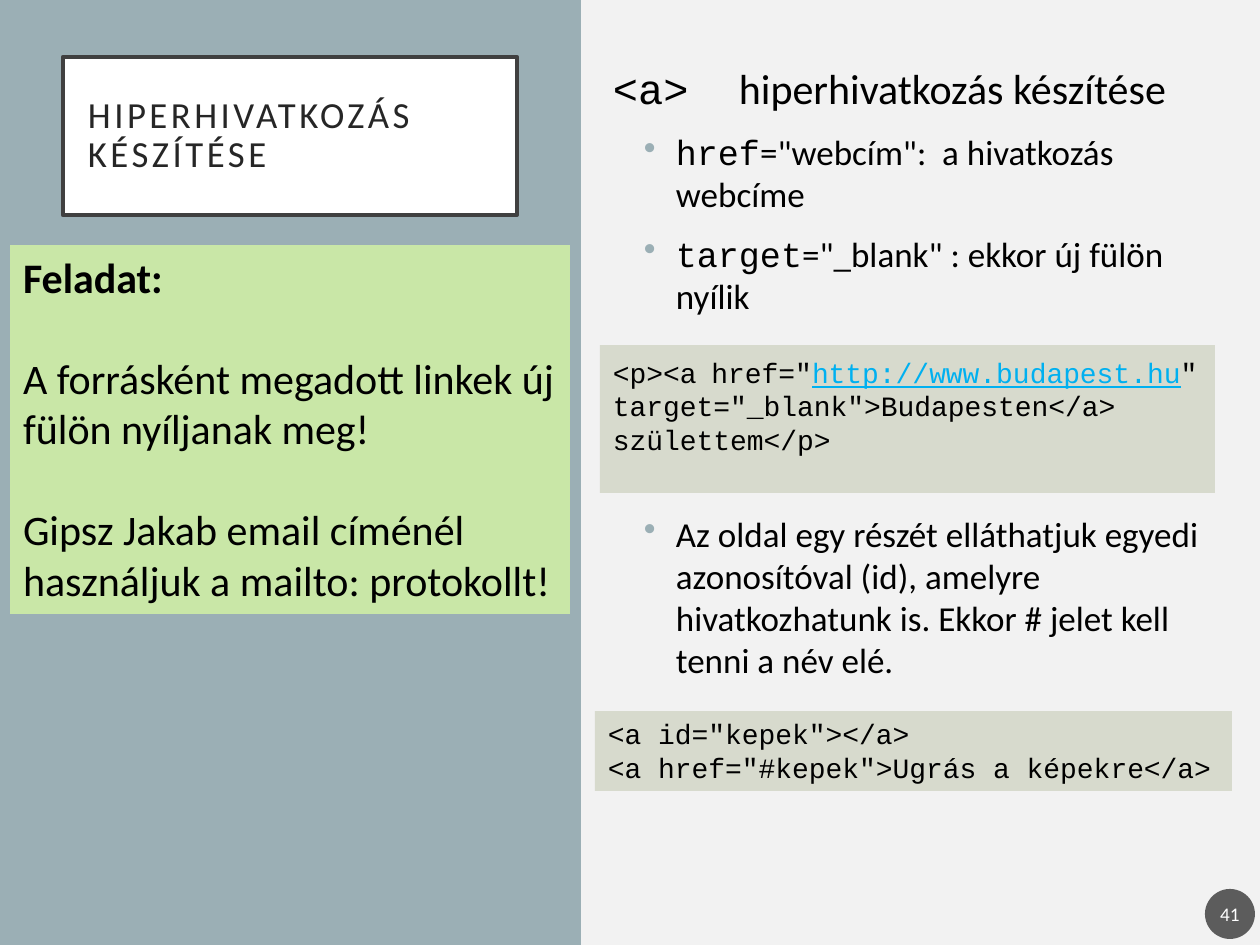
import pptx
import pptx.dml.color
import pptx.enum.shapes
import pptx.enum.text
import pptx.oxml
import pptx.oxml.ns
import pptx.util

RGB = pptx.dml.color.RGBColor
SHAPE = pptx.enum.shapes.MSO_SHAPE
ANCHOR = pptx.enum.text.MSO_ANCHOR
ALIGN = pptx.enum.text.PP_ALIGN
Pt = pptx.util.Pt

PAGE = RGB(0xF2, 0xF2, 0xF2)
PANEL = RGB(0x9B, 0xAF, 0xB5)
WHITE = RGB(0xFF, 0xFF, 0xFF)
BLACK = RGB(0, 0, 0)
FRAME = RGB(0x40, 0x40, 0x40)
TITLE = RGB(0x26, 0x26, 0x26)
CODE_FILL = RGB(0xD7, 0xDA, 0xCD)
TASK_FILL = RGB(0xC9, 0xE7, 0xA7)
LINK = RGB(0x00, 0xB0, 0xF0)
BADGE = RGB(0x1D, 0x1D, 0x1D)

SANS = "Calibri"
MONO = "Courier New"
EMU_PER_PX = 914400 / 126


def px(n):
    return pptx.util.Emu(round(n * EMU_PER_PX))


def add_xml(parent, tag, **attrs):
    child = pptx.oxml.ns.qn(tag)
    el = parent.makeelement(child, attrs)
    parent.append(el)
    return el


def add_box(s, box, fill, kind=SHAPE.RECTANGLE, anchor=ANCHOR.TOP, insets=(13, 6)):
    """Add a borderless filled shape; insets are horizontal and vertical."""
    sp = s.shapes.add_shape(kind, *map(px, box))
    sp.shadow.inherit = False
    sp.fill.solid()
    sp.fill.fore_color.rgb = fill
    sp.line.fill.background()
    set_frame(sp.text_frame, anchor, insets)
    return sp


def set_frame(tf, anchor, insets):
    tf.word_wrap = True
    tf.vertical_anchor = anchor
    tf.margin_left = tf.margin_right = px(insets[0])
    tf.margin_top = tf.margin_bottom = px(insets[1])


def add_paragraph(tf, runs, size, font=SANS, color=BLACK, before=0):
    """Fill the empty first paragraph or append one, and return it."""
    p = tf.paragraphs[0]
    if p.runs:
        p = tf.add_paragraph()
    p.alignment = ALIGN.LEFT
    p.space_before = Pt(before)
    p.font.size = Pt(size)
    p.font.name = font
    p.font.color.rgb = color
    for text, changes in runs:
        r = p.add_run()
        r.text = text
        r.font.size = Pt(changes.get("size", size))
        r.font.name = changes.get("font", font)
        r.font.color.rgb = changes.get("color", color)
        if changes.get("underline"):
            r.font.underline = True
        if changes.get("bold"):
            r.font.bold = True
    return p


def add_bullet(tf, runs, before=10):
    p = add_paragraph(tf, runs, 20, before=before)
    pPr = p._p.get_or_add_pPr()
    pPr.set("marL", str(px(63)))
    pPr.set("indent", str(px(-32)))
    bullet_color = pptx.oxml.parse_xml(
        '<a:buClr xmlns:a="http://schemas.openxmlformats.org/drawingml/2006/main">'
        f'<a:srgbClr val="{PANEL}"/></a:buClr>')
    bullet = pPr.makeelement(pptx.oxml.ns.qn("a:buChar"), {"char": "•"})
    default_font = pPr.find(pptx.oxml.ns.qn("a:defRPr"))
    default_font.addprevious(bullet_color)
    default_font.addprevious(bullet)


def add_title(s):
    sp = add_box(s, (63, 57, 454, 158), WHITE, anchor=ANCHOR.MIDDLE, insets=(25, 25))
    sp.line.color.rgb = FRAME
    sp.line.width = Pt(2.5)
    p = add_paragraph(sp.text_frame, [("HIPERHIVATKOZÁS KÉSZÍTÉSE", {})], 21, color=TITLE)
    p.line_spacing = 0.9
    p.runs[0].font._element.set("spc", "200")


def add_body(s):
    tf = s.shapes.add_textbox(*map(px, (600, 57, 627, 872))).text_frame
    set_frame(tf, ANCHOR.TOP, (13, 6))
    mono = {"font": MONO}
    add_paragraph(tf, [("<a>\t", mono), ("hiperhivatkozás készítése", {})], 24, before=10)
    add_bullet(tf, [("href", mono), ('="webcím":  a hivatkozás webcíme', {})])
    add_bullet(tf, [("target", mono), ('="_blank" : ekkor új fülön nyílik', {})])
    # The wide gap leaves room for the first code box.
    add_bullet(tf, [("Az oldal egy részét elláthatjuk egyedi azonosítóval (id), amelyre "
                     "hivatkozhatunk is. Ekkor # jelet kell tenni a név elé.", {})], before=112)


def add_code(s, box, lines, inset_top):
    tf = add_box(s, box, CODE_FILL, insets=(13, inset_top)).text_frame
    for runs in lines:
        add_paragraph(tf, runs, 16, MONO)


def add_task(s):
    tf = add_box(s, (10, 245, 560, 369), TASK_FILL).text_frame
    add_paragraph(tf, [("Feladat:", {"bold": True})], 24)
    for text in ("A forrásként megadott linkek új fülön nyíljanak meg!",
                 "Gipsz Jakab email címénél használjuk a mailto: protokollt!"):
        add_paragraph(tf, [(text, {})], 24, before=29)


def add_page_number(s):
    sp = add_box(s, (1205, 889, 50, 50), BADGE, SHAPE.OVAL, ANCHOR.MIDDLE, (2, 6))
    color = sp.fill._xPr.find(".//" + pptx.oxml.ns.qn("a:srgbClr"))
    add_xml(color, "a:alpha", val="70000")
    p = add_paragraph(sp.text_frame, [("41", {})], 11, color=WHITE)
    p.alignment = ALIGN.CENTER


def main():
    prs = pptx.Presentation()
    prs.slide_width, prs.slide_height = px(1260), px(945)
    s = prs.slides.add_slide(prs.slide_layouts[6])
    s.background.fill.solid()
    s.background.fill.fore_color.rgb = PAGE

    add_box(s, (0, 0, 581, 945), PANEL)
    add_title(s)
    add_body(s)
    add_page_number(s)
    add_code(s, (600, 345, 615, 148), [[
        ("<p><a", {}), (" ", {"size": 14}), ('href="', {}),
        ("http://www.budapest.hu", {"color": LINK, "underline": True}),
        ('"', {}), (" ", {"size": 14}),
        ('target="_blank">Budapesten</a> születtem</p>', {}),
    ]], 10)
    add_code(s, (595, 711, 637, 80), [
        [('<a id="kepek"></a>', {})],
        [('<a href="#kepek">Ugrás a képekre</a>', {})],
    ], 6)
    add_task(s)
    prs.save("out.pptx")


if __name__ == "__main__":
    main()
